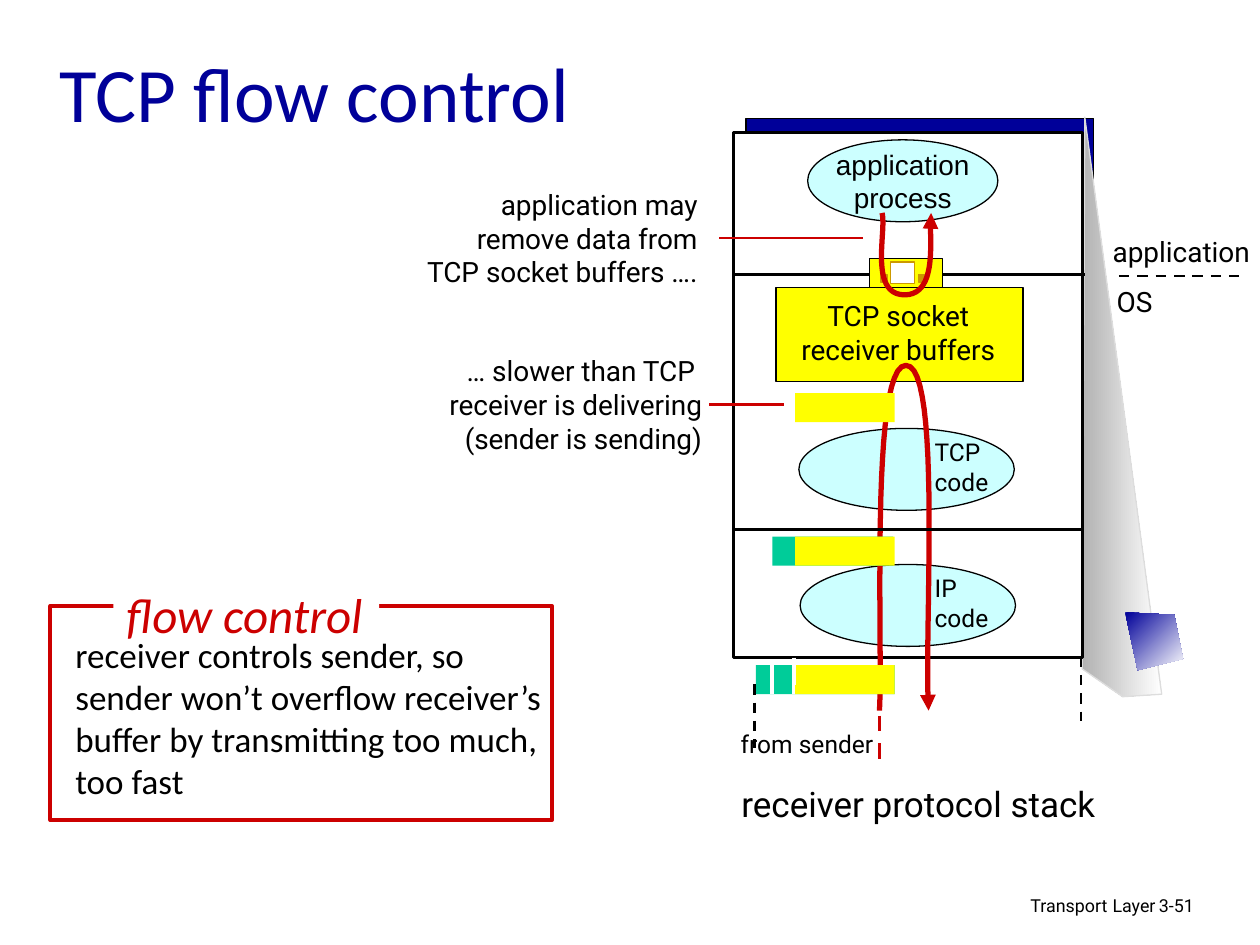
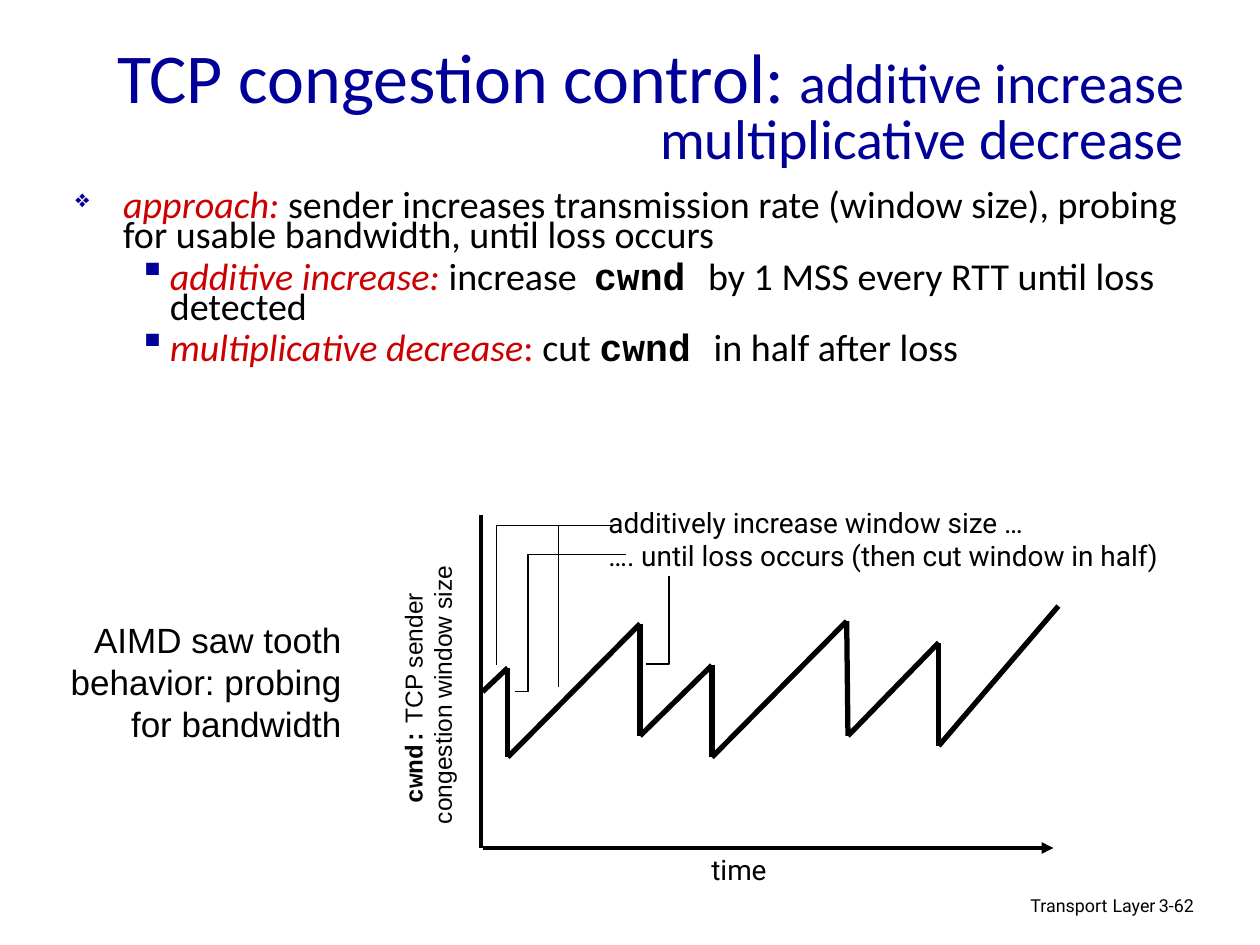
from dataclasses import dataclass
from itertools import pairwise

from pptx import Presentation, util as u
from pptx.dml.color import RGBColor
from pptx.enum import dml, shapes, text
from pptx.oxml import ns, xmlchemy

RECTANGLE = shapes.MSO_SHAPE.RECTANGLE
OVAL = shapes.MSO_SHAPE.OVAL
LEFT, CENTER, RIGHT = text.PP_ALIGN.LEFT, text.PP_ALIGN.CENTER, text.PP_ALIGN.RIGHT


@dataclass(frozen=True)
class Theme:
    navy: str = "000099"
    red: str = "CC0000"
    black: str = "000000"
    white: str = "FFFFFF"
    yellow: str = "FFFF00"
    cyan: str = "CCFFFF"
    green: str = "00CC99"
    gold: str = "CC9900"
    gray: str = "B2B2B2"
    pale: str = "DDDDDD"
    label_font: str = "Roboto"
    body_font: str = "Calibri"
    plain_font: str = "Arial"
    code_font: str = "Courier New"
    title: float = 44
    long_title: float = 40
    subtitle: float = 32
    callout: float = 28
    bullet: float = 21.7
    caption: float = 20
    label: float = 16
    small: float = 14
    footer: float = 10.2
    footer_gap: float = 11.9
    hair: float = 0.75
    thin: float = 1.5
    medium: float = 2.25
    thick: float = 3


THEME = Theme()


def write(frame, content, align=LEFT, spacing=None, before=None, **style):
    for index, runs in enumerate(content):
        paragraph = frame.paragraphs[0] if index == 0 else frame.add_paragraph()
        paragraph.alignment = align
        if spacing:
            paragraph.line_spacing = spacing
        if before:
            paragraph.space_before = u.Pt(before)
        for part in [(runs, {})] if isinstance(runs, str) else runs:
            words, changes = part
            look = {"font": THEME.label_font, "size": THEME.label,
                    "color": THEME.black, "bold": False, "italic": False}
            look |= style | changes
            run = paragraph.add_run()
            run.text = words
            run.font.name = look["font"]
            run.font.size = u.Pt(look["size"])
            run.font.bold = look["bold"]
            run.font.italic = look["italic"]
            run.font.color.rgb = RGBColor.from_string(look["color"])


def add_child(parent, tag, **attributes):
    child = xmlchemy.OxmlElement(tag)
    for name, value in attributes.items():
        child.set(name, str(value))
    parent.append(child)
    return child


def bullet(paragraph, character, margin, hang, level=0, percent=100):
    paragraph.level = level
    properties = paragraph._p.get_or_add_pPr()
    properties.set("marL", str(u.Inches(margin)))
    properties.set("indent", str(-u.Inches(hang)))
    color = add_child(properties, "a:buClr")
    add_child(color, "a:srgbClr", val=THEME.navy)
    add_child(properties, "a:buSzPct", val=percent * 1000)
    add_child(properties, "a:buChar", char=character)


def bezier(start, first, second, end, steps=24):
    for step in range(steps + 1):
        t = step / steps
        weights = (1 - t) ** 3, 3 * t * (1 - t) ** 2, 3 * t * t * (1 - t), t ** 3
        yield tuple(sum(w * p[axis] for w, p in zip(weights, (start, first, second, end)))
                    for axis in (0, 1))


class Deck:
    def __init__(self, theme):
        self.theme = theme
        self.presentation = Presentation()
        self.presentation.slide_width = u.Inches(10)
        self.presentation.slide_height = u.Inches(7.5)
        self.slide = None

    def new_slide(self, box, title, number, **style):
        theme = self.theme
        self.slide = self.presentation.slides.add_slide(self.presentation.slide_layouts[5])
        shape = self.slide.shapes.title
        shape.left, shape.top, shape.width, shape.height = map(u.Inches, box)
        frame = shape.text_frame
        frame.auto_size = text.MSO_AUTO_SIZE.NONE
        frame.vertical_anchor = text.MSO_ANCHOR.MIDDLE
        write(frame, [title], font=theme.body_font, color=theme.navy, **style)
        footer = {"size": theme.footer, "spacing": 0.9, "wrap": True, "grow": False}
        self.label((6.1, 7.05, 3.17, 0.31),
                   [[("Transport", {}), (" ", {"size": theme.footer_gap}), ("Layer", {})]],
                   align=RIGHT, **footer)
        self.label((9.1, 7.07, 0.74, 0.3), [number], **footer)

    def label(self, box, content, wrap=False, grow=True, **style):
        shape = self.slide.shapes.add_textbox(*map(u.Inches, box))
        frame = shape.text_frame
        frame.word_wrap = wrap
        frame.auto_size = (text.MSO_AUTO_SIZE.SHAPE_TO_FIT_TEXT if grow
                           else text.MSO_AUTO_SIZE.NONE)
        write(frame, content, **style)
        return shape

    def paint(self, shape, fill, line, width):
        shape.shadow.inherit = False
        if fill:
            shape.fill.solid()
            shape.fill.fore_color.rgb = RGBColor.from_string(fill)
        else:
            shape.fill.background()
        if line:
            self.stroke(shape, line, width)
        else:
            shape.line.fill.background()

    def stroke(self, shape, color, width, dash=False, arrow=False):
        shape.line.color.rgb = RGBColor.from_string(color)
        shape.line.width = u.Pt(width)
        if dash:
            shape.line.dash_style = dml.MSO_LINE.DASH
        if arrow:
            add_child(shape.element.spPr.find(ns.qn("a:ln")), "a:tailEnd", type="triangle")

    def block(self, box, fill, line=None, width=THEME.hair, kind=RECTANGLE):
        shape = self.slide.shapes.add_shape(kind, *map(u.Inches, box))
        self.paint(shape, fill, line, width)
        return shape

    def line(self, start, end, color=THEME.black, width=THEME.thin, **ends):
        connector = self.slide.shapes.add_connector(
            shapes.MSO_CONNECTOR.STRAIGHT, *map(u.Inches, (*start, *end)))
        self.stroke(connector, color, width, **ends)
        add_child(connector.element.spPr, "a:effectLst")

    def outline(self, points, line=THEME.black, width=THEME.hair, closed=False, arrow=False):
        start, *rest = [tuple(map(u.Inches, point)) for point in points]
        builder = self.slide.shapes.build_freeform(*start)
        builder.add_line_segments(rest, close=closed)
        shape = builder.convert_to_shape()
        self.paint(shape, None, line, width)
        if arrow:
            self.stroke(shape, line, width, arrow=True)
        return shape

    def gradient(self, points, colors, angle, line=None):
        shape = self.outline(points, line, closed=True)
        shape.fill.gradient()
        shape.fill.gradient_angle = angle
        for stop, color in zip(shape.fill.gradient_stops, colors):
            stop.color.rgb = RGBColor.from_string(color)


def flow_control(deck):
    theme = deck.theme
    deck.new_slide((0.37, 0.19, 8.5, 1.07), "TCP flow control", "3-51", size=theme.title)

    deck.block((5.92, 0.94, 2.76, 4.22), theme.navy, theme.black)
    deck.gradient([(9.22, 5.51), (8.61, 0.93), (8.59, 5.31), (8.91, 5.53)],
                  (theme.gray, theme.white), 0, theme.pale)
    deck.block((5.82, 1.05, 2.77, 4.17), theme.white, theme.black, theme.thin)
    process = deck.block((6.41, 1.11, 1.51, 0.65), theme.cyan, theme.black, kind=OVAL)
    process.text_frame.word_wrap = False
    process.text_frame.vertical_anchor = text.MSO_ANCHOR.MIDDLE
    write(process.text_frame, ["application", "process"], align=CENTER, font=theme.plain_font)
    deck.block((6.16, 2.28, 1.96, 0.75), theme.yellow, theme.black)
    deck.label((6.21, 2.32, 1.84, 0.64), ["TCP socket", "receiver buffers"], align=CENTER)
    for layer, left, top in (("TCP", 6.34, 3.4), ("IP", 6.35, 4.48)):
        deck.block((left, top, 1.71, 0.65), theme.cyan, theme.black, kind=OVAL)
        deck.label((7.32, top + 0.02, 0.64, 0.57), [layer, "code"], size=theme.small)

    arrival = [*bezier((6.98, 5.64), (7.01, 5.18), (6.9, 2.9), (7.19, 2.9)),
               *bezier((7.19, 2.9), (7.48, 2.9), (7.33, 5.07), (7.37, 5.64))]
    deck.outline(arrival, theme.red, theme.thick, arrow=True)
    deck.line((5.82, 4.2), (8.6, 4.2))
    deck.line((5.83, 2.18), (8.61, 2.18))

    deck.block((6.9, 2.05, 0.58, 0.23), theme.yellow, theme.black)
    deck.block((7.07, 2.08, 0.19, 0.17), theme.white, theme.gold)
    for left in (7.29, 6.99):
        deck.block((left, 2.18, 0.05, 0.06), theme.gold, theme.gold)
    removal = [*bezier((7, 1.69), (7.04, 1.82), (6.89, 2.34), (7.18, 2.34)),
               *bezier((7.18, 2.34), (7.47, 2.34), (7.36, 1.8), (7.39, 1.69))]
    deck.outline(removal, theme.red, theme.thick, arrow=True)

    deck.block((6, 5.28, 1.1, 0.23), theme.green)
    for x in (6.13, 6.3):
        deck.line((x, 5.28), (x, 5.51), theme.white, theme.medium)
    deck.block((6.13, 4.26, 0.96, 0.23), theme.green)
    for top in (3.12, 4.26, 5.28):
        deck.block((6.31, top, 0.79, 0.23), theme.yellow)

    deck.label((8.7, 1.81, 1.35, 0.37), ["application"], align=CENTER)
    deck.label((8.76, 2.21, 0.49, 0.37), ["OS"], align=CENTER)
    deck.line((8.88, 2.19), (9.83, 2.19), dash=True)
    deck.label((5.71, 6.16, 3.16, 0.44), ["receiver protocol stack"],
               align=CENTER, size=theme.caption)
    deck.label((2.2, 1.44, 3.49, 0.9),
               ["application may ", "remove data from ", "TCP socket buffers …. "],
               align=RIGHT, wrap=True)
    deck.line((5.71, 1.89), (6.85, 1.89), theme.red)
    deck.label((3.39, 2.76, 2.28, 1.17),
               ["… slower than TCP ", "receiver is delivering", "(sender is sending)"],
               align=RIGHT, wrap=True)
    deck.line((5.63, 3.21), (6.22, 3.21), theme.red)
    deck.line((6.98, 5.68), (6.98, 6.06), theme.red, theme.medium, dash=True)
    deck.label((5.74, 5.74, 1.33, 0.34), ["from sender"], align=CENTER, size=theme.small)
    deck.line((6.3, 5.22), (6.3, 5.44), theme.white, theme.medium)

    deck.block((0.4, 4.81, 3.98, 1.7), theme.white, theme.red, theme.medium)
    deck.label((0.5, 4.98, 3.93, 1.77),
               ["receiver controls sender, so sender won’t overflow receiver’s "
                "buffer by transmitting too much, too fast"],
               wrap=True, font=theme.body_font, size=theme.caption)
    deck.block((0.9, 4.69, 2.11, 0.39), theme.white)
    deck.label((0.82, 4.59, 2.24, 0.57), ["flow control"], align=CENTER,
               font=theme.body_font, size=theme.callout, color=theme.red, italic=True)
    for x, top in ((5.99, 5.43), (8.58, 5.21)):
        deck.line((x, top), (x, top + 0.51), dash=True)
    deck.gradient([(8.93, 4.86), (9.32, 4.88), (9.39, 5.23), (9.03, 5.32)],
                  (theme.navy, theme.white), 315)


def congestion_control(deck):
    theme = deck.theme
    deck.new_slide((0.25, 0.25, 9.25, 1.25),
                   [("TCP congestion control: ", {}),
                    ("additive increase multiplicative decrease", {"size": theme.subtitle})],
                   "3-62", size=theme.long_title, align=RIGHT, spacing=0.8)

    term = {"color": theme.red, "italic": True}
    window = ("cwnd ", {"font": theme.code_font, "bold": True})
    body = deck.label(
        (0.5, 1.5, 9.16, 1.58),
        [[("approach: ", term),
          ("sender increases transmission rate (window size), probing for usable "
           "bandwidth, until loss occurs", {})],
         [("additive increase:", term), (" increase  ", {}), window,
          ("by 1 MSS every RTT until loss detected", {})],
         [("multiplicative decrease", term), (":", {"color": theme.red}), (" cut ", {}),
          window, ("in half after loss", {})]],
        wrap=True, grow=False, font=theme.body_font, size=theme.bullet,
        spacing=0.65, before=7)
    approach, *rules = body.text_frame.paragraphs
    bullet(approach, "❖", 0.38, 0.38, percent=65)
    for rule in rules:
        bullet(rule, "▪", 0.75, 0.25, level=1)

    axis_name = deck.label(
        (2.27, 5.23, 2.25, 0.57),
        [[("cwnd:", {"font": theme.code_font, "bold": True}), (" TCP sender ", {})],
         "congestion window size"],
        align=CENTER, font=theme.plain_font, size=theme.small)
    axis_name.rotation = 270
    deck.label((0.46, 4.86, 2.35, 1.1),
               ["AIMD saw tooth", "behavior: probing", "for bandwidth"],
               align=RIGHT, font=theme.plain_font, size=theme.caption)

    deck.line((3.83, 6.73), (8.36, 6.73), width=theme.medium, arrow=True)
    deck.line((3.82, 4.09), (3.82, 6.73), width=theme.medium)
    saw_tooth = [(3.83, 5.49), (4.03, 5.3), (4.03, 6.01), (5.08, 4.95), (5.08, 5.84),
                 (5.65, 5.28), (5.65, 6.01), (6.72, 4.93), (6.73, 5.84), (7.45, 5.1),
                 (7.45, 5.92), (8.4, 4.81)]
    for start, end in pairwise(saw_tooth):
        deck.line(start, end, width=theme.thick)

    deck.label((4.73, 3.96, 4.78, 0.64),
               ["additively increase window size …",
                "…. until loss occurs (then cut window in half)"])
    for leader in ([(4.88, 4.17), (3.94, 4.17), (3.94, 5.28)],
                   [(4.97, 4.4), (4.19, 4.4), (4.19, 5.49), (4.09, 5.49)],
                   [(4.88, 4.17), (4.43, 4.17), (4.43, 5.45)],
                   [(5.31, 4.57), (5.31, 5.27), (5.13, 5.27)]):
        deck.outline(leader)
    deck.label((5.53, 6.72, 0.67, 0.37), ["time"], align=CENTER)


def main():
    deck = Deck(THEME)
    flow_control(deck)
    congestion_control(deck)
    deck.presentation.save("out.pptx")


if __name__ == "__main__":
    main()
